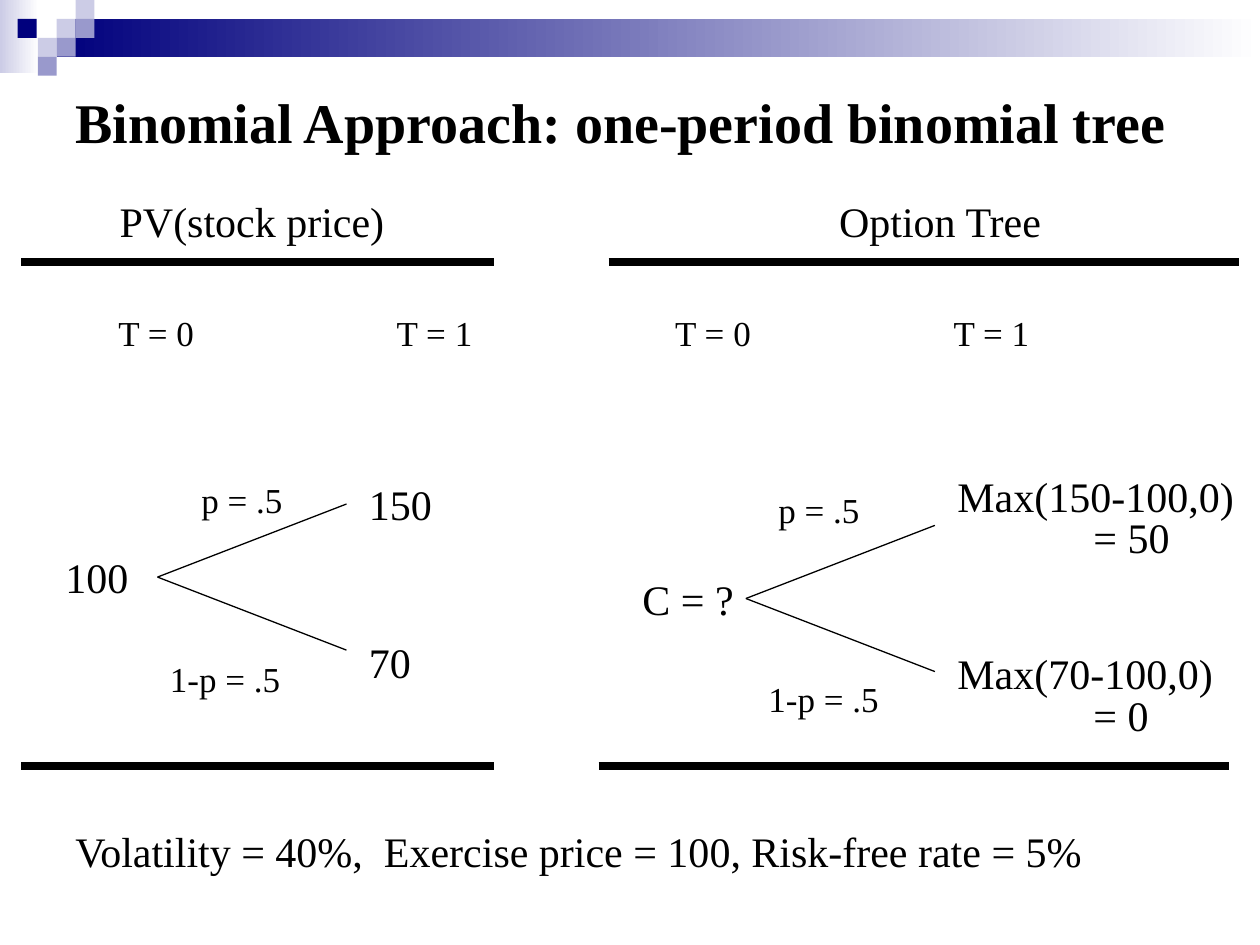
from lxml.etree import SubElement
from pptx import Presentation
from pptx.dml.color import RGBColor
from pptx.enum.shapes import MSO_CONNECTOR, MSO_SHAPE
from pptx.enum.text import MSO_ANCHOR, MSO_AUTO_SIZE, PP_ALIGN
from pptx.oxml.ns import qn
from pptx.util import Inches, Pt

BLACK = RGBColor(0x00, 0x00, 0x00)
WHITE = RGBColor(0xFF, 0xFF, 0xFF)
NAVY = RGBColor(0x00, 0x00, 0x7D)
LILAC = RGBColor(0xCC, 0xCC, 0xE6)
PERIWINKLE = RGBColor(0x99, 0x99, 0xCC)


class SlideBuilder:
    """Holds the style and the current slide and draws each kind of element."""

    font = "Times New Roman"
    body_size = 24
    small_size = 20
    tile = 0.15

    def __init__(self, slide):
        self.slide = slide

    def rect(self, left, top, width, height):
        s = self.slide.shapes.add_shape(
            MSO_SHAPE.RECTANGLE, Inches(left), Inches(top), Inches(width), Inches(height))
        s.shadow.inherit = False
        s.line.fill.background()
        return s

    def fading_band(self, left, top, width, height, color):
        fill = self.rect(left, top, width, height).fill
        fill.gradient()
        fill.gradient_angle = 0
        for stop, position, rgb in zip(fill.gradient_stops, (0, 1), (color, WHITE)):
            stop.position = position
            stop.color.rgb = rgb

    def square(self, left, top, color):
        fill = self.rect(left, top, self.tile, self.tile).fill
        fill.solid()
        fill.fore_color.rgb = color

    def line(self, start, end, weight=0.75):
        s = self.slide.shapes.add_connector(
            MSO_CONNECTOR.STRAIGHT, *(Inches(v) for v in (*start, *end)))
        s.line.color.rgb = BLACK
        s.line.width = Pt(weight)
        SubElement(s._element.spPr, qn("a:effectLst"))

    def text(self, lines, left, top, width, height=0.5, size=body_size, bold=False,
             align=PP_ALIGN.LEFT, tabs=(), spacing=None, anchor=MSO_ANCHOR.TOP):
        s = self.slide.shapes.add_textbox(
            Inches(left), Inches(top), Inches(width), Inches(height))
        tf = s.text_frame
        tf.word_wrap = True
        tf.auto_size = MSO_AUTO_SIZE.NONE
        tf.vertical_anchor = anchor
        tf.text = lines
        for i, p in enumerate(tf.paragraphs):
            p.alignment = align
            if spacing:
                p.line_spacing = spacing
            if i:
                p.space_before = Pt(15)
            if tabs:
                tab_list = SubElement(p._p.get_or_add_pPr(), qn("a:tabLst"))
                for position in tabs:
                    SubElement(tab_list, qn("a:tab"), pos=str(Inches(position)), algn="l")
            for r in p.runs:
                r.font.name = self.font
                r.font.size = Pt(size)
                r.font.bold = bold
                r.font.color.rgb = BLACK

    def label(self, words, left, top, width, tabs=()):
        self.text(words, left, top, width, 0.44, self.small_size, tabs=tabs)

    def payoff(self, lines, top):
        self.text(lines, 7.5, top, 2.5, 0.55, tabs=(1.08,), spacing=0.3)

    def branches(self, x, y):
        for rise in (-0.58, 0.58):
            self.line((x, y), (x + 1.5, y + rise))


def main():
    prs = Presentation()
    prs.slide_width, prs.slide_height = Inches(10), Inches(7.5)
    b = SlideBuilder(prs.slides.add_slide(prs.slide_layouts[6]))

    b.fading_band(0, 0, 0.31, 0.58, LILAC)
    b.fading_band(0.45, 0.15, 9.55, 0.3, NAVY)
    for left, top, color in (
            (0.45, 0.15, LILAC), (0.6, 0, LILAC), (0.6, 0.15, PERIWINKLE),
            (0.3, 0.3, LILAC), (0.14, 0.15, NAVY),
            (0.45, 0.3, PERIWINKLE), (0.3, 0.45, PERIWINKLE)):
        b.square(left, top, color)

    b.text("Binomial Approach: one-period binomial tree", 0.5, 0.5, 9, 0.92,
           size=32, bold=True, anchor=MSO_ANCHOR.MIDDLE)

    for heading, left, width in (("PV(stock price)", 0, 4), ("Option Tree", 5.17, 4.58)):
        b.text(heading, left, 1.5, width, align=PP_ALIGN.CENTER)
    for left, top, width in ((0.17, 2.08, 3.75), (4.83, 2.08, 5),
                             (0.17, 6.08, 3.75), (4.75, 6.08, 5)):
        b.line((left, top), (left + width, top), 4.5)
    for left in (0.5, 4.92):
        b.label("\tT = 0\tT = 1", left, 2.42, 4.08, tabs=(0.34, 2.55))

    for node, root, root_at, up_at, down_at in (
            ((1.25, 4.58), "100", (0.42, 4.33), (1.5, 3.75), (1.25, 5.17)),
            ((5.92, 4.75), "C = ?", (5, 4.5), (6.08, 3.83), (6, 5.33))):
        b.branches(*node)
        b.text(root, *root_at, 1.08)
        b.label("p = .5", *up_at, 1.42)
        b.label("1-p = .5", *down_at, 1.75)

    for price, top in (("150", 3.75), ("70", 5)):
        b.text(price, 2.83, top, 0.92)
    b.payoff("Max(150-100,0)\n\t= 50", 3.92)
    b.payoff("Max(70-100,0)\n\t= 0", 5.33)

    b.text("Volatility = 40%,  Exercise price = 100, Risk-free rate = 5%", 0.5, 6.5, 8.58)
    prs.save("out.pptx")


if __name__ == "__main__":
    main()
